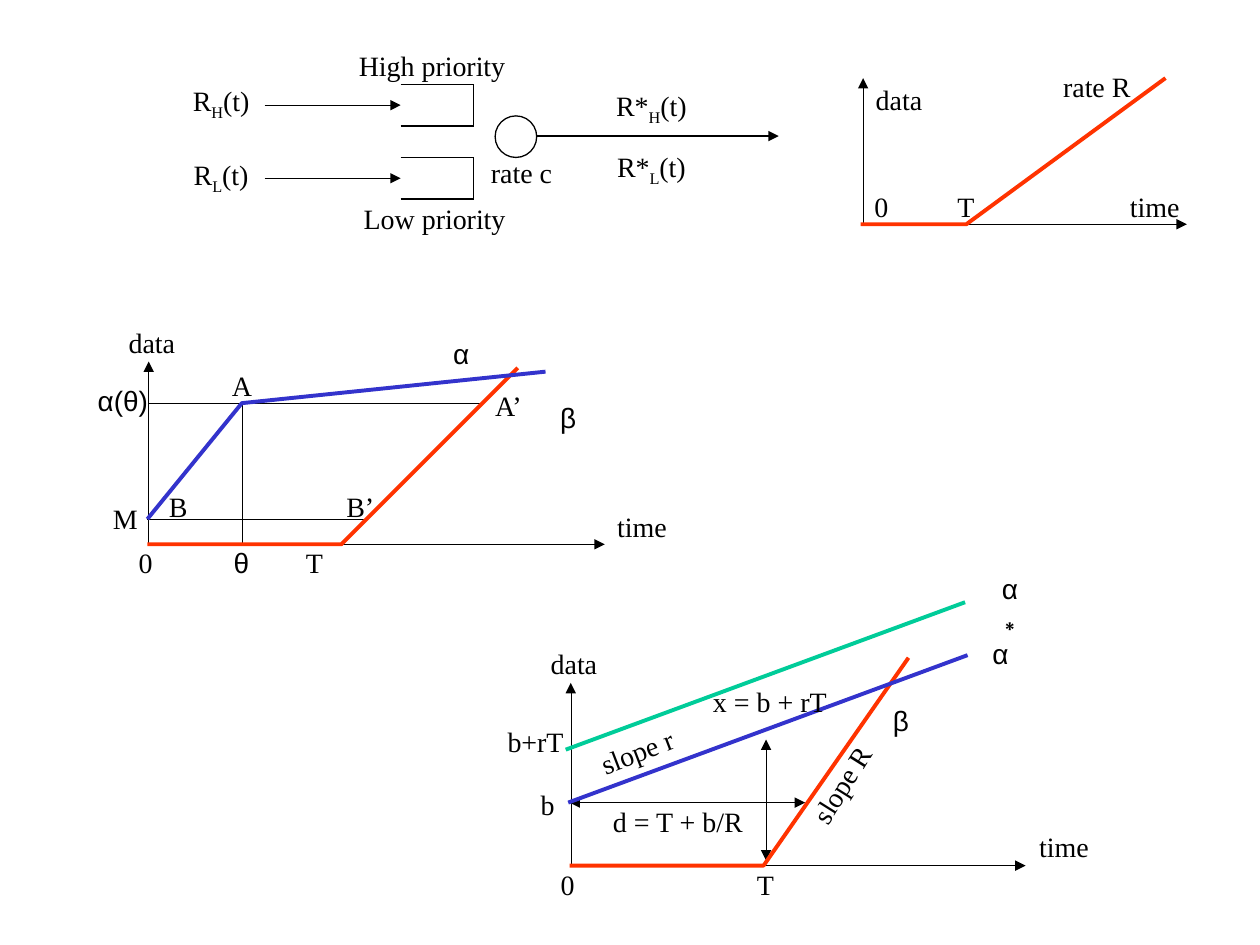
"""Build the slide on priority queues, service curves and delay bounds."""
from lxml.etree import SubElement
from pptx import Presentation
from pptx.dml.color import RGBColor
from pptx.enum.shapes import MSO_CONNECTOR, MSO_SHAPE
from pptx.enum.text import MSO_ANCHOR, MSO_AUTO_SIZE as AutoSize, PP_ALIGN
from pptx.oxml.ns import qn
from pptx.util import Inches, Pt

COLORS = {"ink": "000000", "service": "FF3300", "arrival": "3333CC", "output": "00CC99"}
HAIR, THIN, THICK = 0.25, 0.75, 2.25
ARROW_ENDS = {"none": (), "end": ("tailEnd",), "both": ("headEnd", "tailEnd")}
GREEK = set("αβθ")
STACKED = "α∗"
SLACK = 0.04

SERVICE_CURVE = {
    "lines": [
        (6.85, 1.78, 9.42, 1.78, HAIR, "end"),
        (6.85, 1.78, 6.85, 0.62, HAIR, "end"),
    ],
    "curves": [("service", [(6.83, 1.78), (7.67, 1.78), (9.25, 0.62)])],
    "labels": [
        ("T", 7.5, 1.45, 0.33), ("time", 8.87, 1.45, 0.59), ("data", 6.85, 0.6, 0.57),
        ("0", 6.84, 1.45, 0.31), ("rate R", 8.34, 0.5, 0.73),
    ],
}
QUEUE_TOPS = (0.67, 1.25)
QUEUE_LEFT, QUEUE_RIGHT, QUEUE_HEIGHT = 3.18, 3.76, 0.33
SCHEDULER = {
    "lines": [
        line
        for top in QUEUE_TOPS
        for line in (
            (QUEUE_LEFT, top, QUEUE_RIGHT, top, THIN, "none"),
            (QUEUE_RIGHT, top, QUEUE_RIGHT, top + QUEUE_HEIGHT, THIN, "none"),
            (QUEUE_LEFT, top + QUEUE_HEIGHT, QUEUE_RIGHT, top + QUEUE_HEIGHT, THIN, "none"),
            (2.1, top + QUEUE_HEIGHT / 2, QUEUE_LEFT, top + QUEUE_HEIGHT / 2, HAIR, "end"),
        )
    ] + [(4.26, 1.08, 6.18, 1.08, THIN, "end")],
    "servers": [(3.93, 0.92, 0.33)],
    "labels": [
        ("R*_L_(t)", 4.8, 1.13, 0.74), ("R*_H_(t)", 4.79, 0.65, 0.76),
        ("High priority", 2.75, 0.33, 1.36), ("Low priority", 2.79, 1.55, 1.32),
        ("rate c", 3.8, 1.18, 0.68),
        ("R_H_(t)", 1.43, 0.61, 0.65), ("R_L_(t)", 1.44, 1.2, 0.63),
    ],
}
DELAY_POINTS = {
    "lines": [
        (1.18, 4.32, 4.8, 4.32, HAIR, "end"),
        (1.18, 4.32, 1.18, 2.87, HAIR, "end"),
        (1.92, 3.2, 1.92, 4.32, HAIR, "none"),
        (1.18, 3.2, 3.83, 3.2, HAIR, "none"),
        (1.17, 4.12, 2.92, 4.12, HAIR, "none"),
    ],
    "curves": [
        ("service", [(1.17, 4.32), (2.71, 4.32), (4.11, 2.92)]),
        ("arrival", [(1.17, 4.12), (1.92, 3.2), (4.33, 2.95)]),
    ],
    "labels": [
        ("T", 2.33, 4.28, 0.33), ("time", 4.8, 3.99, 0.59), ("0", 1, 4.28, 0.31),
        ("β", 4.35, 3.13, 0.32), ("α", 3.49, 2.62, 0.34), ("θ", 1.76, 4.28, 0.31),
        ("α(θ)", 0.66, 2.99, 0.63), ("M", 0.8, 3.93, 0.39), ("A", 1.74, 2.87, 0.36),
        ("A’", 3.82, 3.03, 0.43), ("B", 1.24, 3.83, 0.35), ("B’", 2.65, 3.83, 0.42),
        ("data", 0.92, 2.53, 0.57),
    ],
}
BOUNDS = {
    "lines": [
        (4.53, 6.87, 8.14, 6.87, HAIR, "end"),
        (4.53, 6.87, 4.53, 5.42, HAIR, "end"),
        (6.08, 5.87, 6.08, 6.83, HAIR, "both"),
        (4.52, 6.37, 6.39, 6.37, HAIR, "both"),
    ],
    "curves": [
        ("service", [(4.52, 6.87), (6.06, 6.87), (7.21, 5.22)]),
        ("arrival", [(4.51, 6.37), (7.68, 5.2)]),
        ("output", [(4.49, 5.95), (7.66, 4.78)]),
    ],
    "labels": [
        ("b+rT", 3.93, 5.7, 0.64), ("T", 5.91, 6.83, 0.33), ("time", 8.15, 6.53, 0.59),
        ("0", 4.35, 6.83, 0.31), ("β", 6.99, 5.53, 0.32), (STACKED, 7.79, 4.62, 0.45),
        ("α", 7.77, 5, 0.34), ("b", 4.19, 6.2, 0.31), ("data", 4.27, 5.08, 0.57),
        ("slope R", 6.24, 6.04, 0.87, 302.1), ("slope r", 4.66, 5.78, 0.79, 339),
        ("d = T + b/R", 4.76, 6.33, 1.24), ("x = b + rT", 5.56, 5.38, 1.1),
    ],
}


def apply(target, values):
    for name, value in values.items():
        setattr(target, name, value)


def set_line(line, color, width):
    line.color.rgb = RGBColor.from_string(COLORS[color])
    line.width = Pt(width)


def add_line(group, x1, y1, x2, y2, width, arrows):
    ends = [Inches(value) for value in (x1, y1, x2, y2)]
    connector = group.shapes.add_connector(MSO_CONNECTOR.STRAIGHT, *ends)
    set_line(connector.line, "ink", width)
    outline = connector.line._get_or_add_ln()
    for tag in ARROW_ENDS[arrows]:
        SubElement(outline, qn(f"a:{tag}"), type="triangle")
    SubElement(connector._element.spPr, qn("a:effectLst"))


def add_curve(group, color, points):
    start, *rest = [(Inches(x), Inches(y)) for x, y in points]
    builder = group.shapes.build_freeform(*start)
    builder.add_line_segments(rest, close=False)
    curve = builder.convert_to_shape()
    curve.shadow.inherit = False
    curve.fill.background()
    set_line(curve.line, color, THICK)


def add_server(group, left, top, size):
    server = group.shapes.add_shape(
        MSO_SHAPE.OVAL, Inches(left), Inches(top), Inches(size), Inches(size))
    server.shadow.inherit = False
    server.fill.background()
    set_line(server.line, "ink", THIN)


def add_label(group, text, left, top, width, rotation=0):
    stacked = text == STACKED
    slack = 0 if stacked else SLACK
    height = 0.41 if "_" in text else 0.37
    label = group.shapes.add_textbox(
        Inches(left - slack), Inches(top), Inches(width + 2 * slack), Inches(height))
    label.rotation = rotation
    apply(label.text_frame, {
        "word_wrap": stacked,
        "auto_size": AutoSize.NONE if stacked else AutoSize.SHAPE_TO_FIT_TEXT,
        "vertical_anchor": MSO_ANCHOR.MIDDLE,
    })
    paragraph = label.text_frame.paragraphs[0]
    paragraph.alignment = PP_ALIGN.CENTER
    font_name = "Arial" if GREEK & set(text) else "Times New Roman"
    for index, part in enumerate(text.split("_")):
        run = paragraph.add_run()
        run.text = part
        apply(run.font, {"name": font_name, "size": Pt(16)})
        run.font.color.rgb = RGBColor.from_string(COLORS["ink"])
        if index == 1:
            run._r.get_or_add_rPr().set("baseline", "-25000")


DRAW = {"lines": add_line, "curves": add_curve, "servers": add_server, "labels": add_label}


def main():
    deck = Presentation()
    apply(deck, {"slide_width": Inches(10), "slide_height": Inches(7.5)})
    slide = deck.slides.add_slide(deck.slide_layouts[6])
    for diagram in (SERVICE_CURVE, SCHEDULER, DELAY_POINTS, BOUNDS):
        group = slide.shapes.add_group_shape()
        for kind, draw in DRAW.items():
            for item in diagram.get(kind, []):
                draw(group, *item)
    deck.save("out.pptx")


if __name__ == "__main__":
    main()
